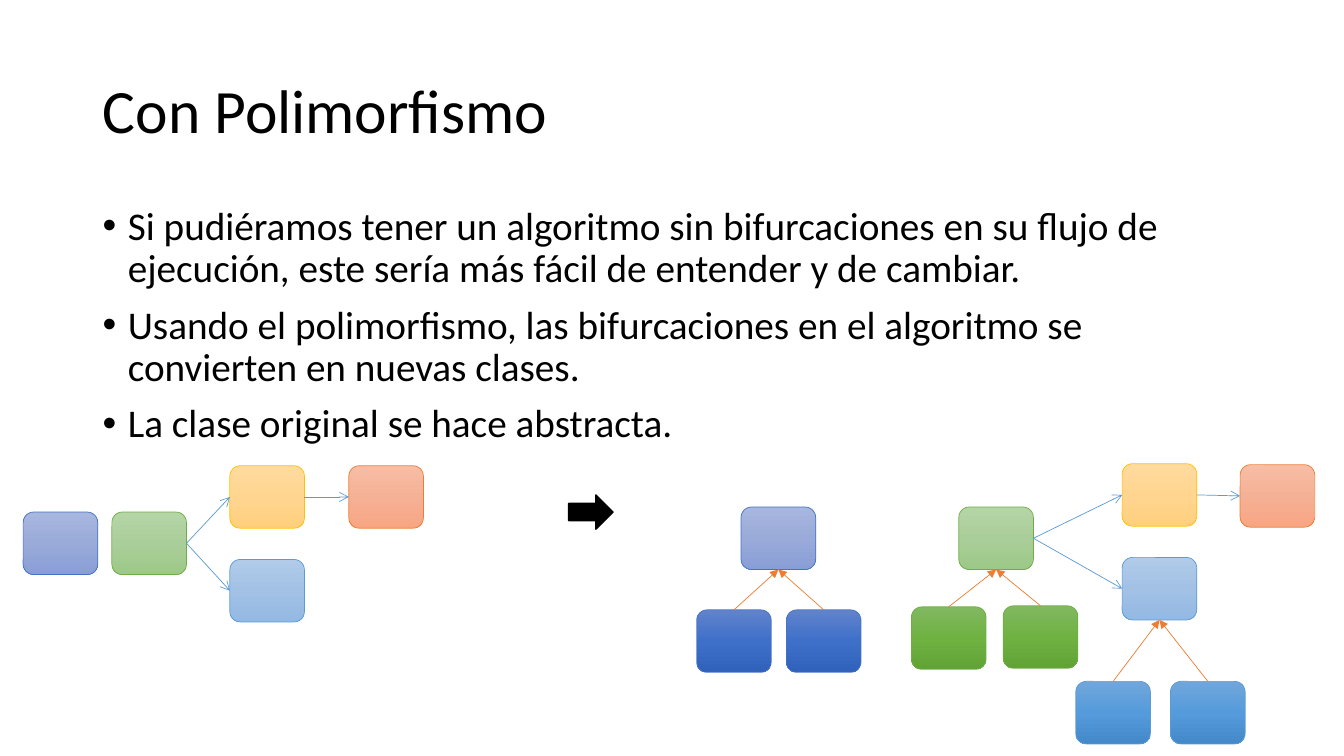
import copy

import pptx
import pptx.dml.color
import pptx.enum.shapes
import pptx.enum.text
import pptx.oxml
import pptx.oxml.ns
import pptx.util

RGB = pptx.dml.color.RGBColor.from_string
SHAPES = pptx.enum.shapes.MSO_SHAPE
PX = 9144  # 100 px to the inch
BOX_W, BOX_H = 74, 62
TOP, LEFT, BOTTOM, RIGHT = range(4)  # connection sites of a rounded box

BLACK = RGB("000000")
BLUE = RGB("4472C4")
GREEN = RGB("70AD47")
YELLOW = RGB("FFC000")
ORANGE = RGB("ED7D31")
SKY = RGB("5B9BD5")

# Outline, then gradient from top to bottom
PALE_BLUE = BLUE, (RGB("A8B7DF"), RGB("9AABD9"), RGB("889ED7"))
PALE_GREEN = GREEN, (RGB("B5D5A7"), RGB("AACE9A"), RGB("9CC987"))
PALE_YELLOW = YELLOW, (RGB("FFDB9E"), RGB("FFD590"), RGB("FFD07C"))
PALE_ORANGE = ORANGE, (RGB("F7BDA5"), RGB("F5B196"), RGB("F8A582"))
PALE_SKY = SKY, (RGB("B1CBE9"), RGB("A3C1E5"), RGB("93B9E4"))
DEEP_BLUE = BLUE, (RGB("6183CB"), RGB("3E70CA"), RGB("3062BB"))
DEEP_GREEN = GREEN, (RGB("81B861"), RGB("6FB242"), RGB("62A336"))
DEEP_SKY = SKY, (RGB("71A6DB"), RGB("559BDB"), RGB("448ACA"))

TITLE = "Con Polimorfismo"
POINTS = [
    "Si pudiéramos tener un algoritmo sin bifurcaciones en su flujo de "
    "ejecución, este sería más fácil de entender y de cambiar.",
    "Usando el polimorfismo, las bifurcaciones en el algoritmo se "
    "convierten en nuevas clases.",
    "La clase original se hace abstracta.",
]


def add_xml(parent, tag, **attributes):
    child = pptx.oxml.parse_xml(f"<a:{tag} {pptx.oxml.ns.nsdecls('a')}/>")
    for name, value in attributes.items():
        child.set(name, value)
    parent.append(child)


class SlideBuilder:
    def __init__(self, slide, font="Calibri"):
        self.slide = slide
        self.font = font

    def add_text(self, paragraph, text, size):
        paragraph.line_spacing = 0.9
        paragraph.alignment = pptx.enum.text.PP_ALIGN.LEFT
        run = paragraph.add_run()
        run.text = text
        run.font.name = self.font
        run.font.size = pptx.util.Pt(size)
        run.font.color.rgb = BLACK

    def title(self, text, left, top, width, height):
        heading = self.slide.shapes.title
        heading.left, heading.top = left * PX, top * PX
        heading.width, heading.height = width * PX, height * PX
        frame = heading.text_frame
        frame.auto_size = pptx.enum.text.MSO_AUTO_SIZE.NONE
        frame.vertical_anchor = pptx.enum.text.MSO_ANCHOR.MIDDLE
        self.add_text(frame.paragraphs[0], text, 44)

    def bullets(self, points, left, top, width, height):
        body = self.slide.shapes.add_textbox(
            left * PX, top * PX, width * PX, height * PX)
        frame = body.text_frame
        frame.word_wrap = True
        for index, point in enumerate(points):
            paragraph = frame.add_paragraph() if index else frame.paragraphs[0]
            self.add_text(paragraph, point, 28)
            paragraph.space_before = pptx.util.Pt(10)
            properties = paragraph._p.get_or_add_pPr()
            properties.set("marL", str(25 * PX))
            properties.set("indent", str(-25 * PX))
            add_xml(properties, "buFont", typeface="Arial")
            add_xml(properties, "buChar", char="•")

    def shape(self, kind, left, top, width, height, outline, weight):
        shape = self.slide.shapes.add_shape(
            kind, left * PX, top * PX, width * PX, height * PX)
        shape.shadow.inherit = False
        shape.line.color.rgb = outline
        shape.line.width = pptx.util.Pt(weight)
        return shape

    def box(self, left, top, style):
        outline, shades = style
        box = self.shape(SHAPES.ROUNDED_RECTANGLE, left, top,
                         BOX_W, BOX_H, outline, 0.5)
        box.fill.gradient()
        box.fill.gradient_angle = 270
        stops = next(box._element.iter(pptx.oxml.ns.qn("a:gsLst")))
        stops.insert(1, copy.deepcopy(stops[0]))
        for index, (stop, shade) in enumerate(zip(box.fill.gradient_stops, shades)):
            stop.color.rgb = shade
            stop.position = index / 2
        return box

    def block_arrow(self, left, top, width, height):
        arrow = self.shape(SHAPES.RIGHT_ARROW, left, top, width, height, BLACK, 1)
        arrow.fill.solid()
        arrow.fill.fore_color.rgb = BLACK

    def link(self, start, start_site, end, end_site, color, head):
        """Join two boxes with an arrow pointing at the second."""
        link = self.slide.shapes.add_connector(
            pptx.enum.shapes.MSO_CONNECTOR.STRAIGHT, 0, 0, 0, 0)
        link.begin_connect(start, start_site)
        link.end_connect(end, end_site)
        link.line.color.rgb = color
        link.line.width = pptx.util.Pt(0.5)
        properties = link._element.spPr
        add_xml(properties.get_or_add_ln(), "tailEnd", type=head)
        add_xml(properties, "effectLst")

    def flow(self, first, fork, upper, last, lower):
        """Draw a forking algorithm; return its first, fork and lower steps."""
        first_step = self.box(*first, PALE_BLUE)
        fork_step = self.box(*fork, PALE_GREEN)
        upper_step = self.box(*upper, PALE_YELLOW)
        last_step = self.box(*last, PALE_ORANGE)
        lower_step = self.box(*lower, PALE_SKY)
        for start, end in ((fork_step, upper_step), (upper_step, last_step),
                           (fork_step, lower_step)):
            self.link(start, RIGHT, end, LEFT, SKY, "arrow")
        return first_step, fork_step, lower_step

    def subclasses(self, parent, places, style):
        for place in places:
            self.link(self.box(*place, style), TOP, parent, BOTTOM,
                      ORANGE, "triangle")


def main():
    deck = pptx.Presentation()
    deck.slide_width, deck.slide_height = 1333 * PX, 750 * PX
    builder = SlideBuilder(deck.slides.add_slide(deck.slide_layouts[5]))

    builder.title(TITLE, 92, 40, 1150, 145)
    builder.bullets(POINTS, 92, 200, 1150, 476)

    builder.flow(first=(23, 508), fork=(111, 508), upper=(228, 462),
                 last=(346, 462), lower=(228, 555))
    builder.block_arrow(564, 491, 44, 34)
    first, fork, lower = builder.flow(
        first=(735, 503), fork=(951, 503), upper=(1113, 460),
        last=(1230, 461), lower=(1113, 553))
    builder.subclasses(first, [(691, 605), (780, 605)], DEEP_BLUE)
    builder.subclasses(fork, [(904, 602), (995, 601)], DEEP_GREEN)
    builder.subclasses(lower, [(1067, 676), (1161, 676)], DEEP_SKY)

    deck.save("out.pptx")


if __name__ == "__main__":
    main()
